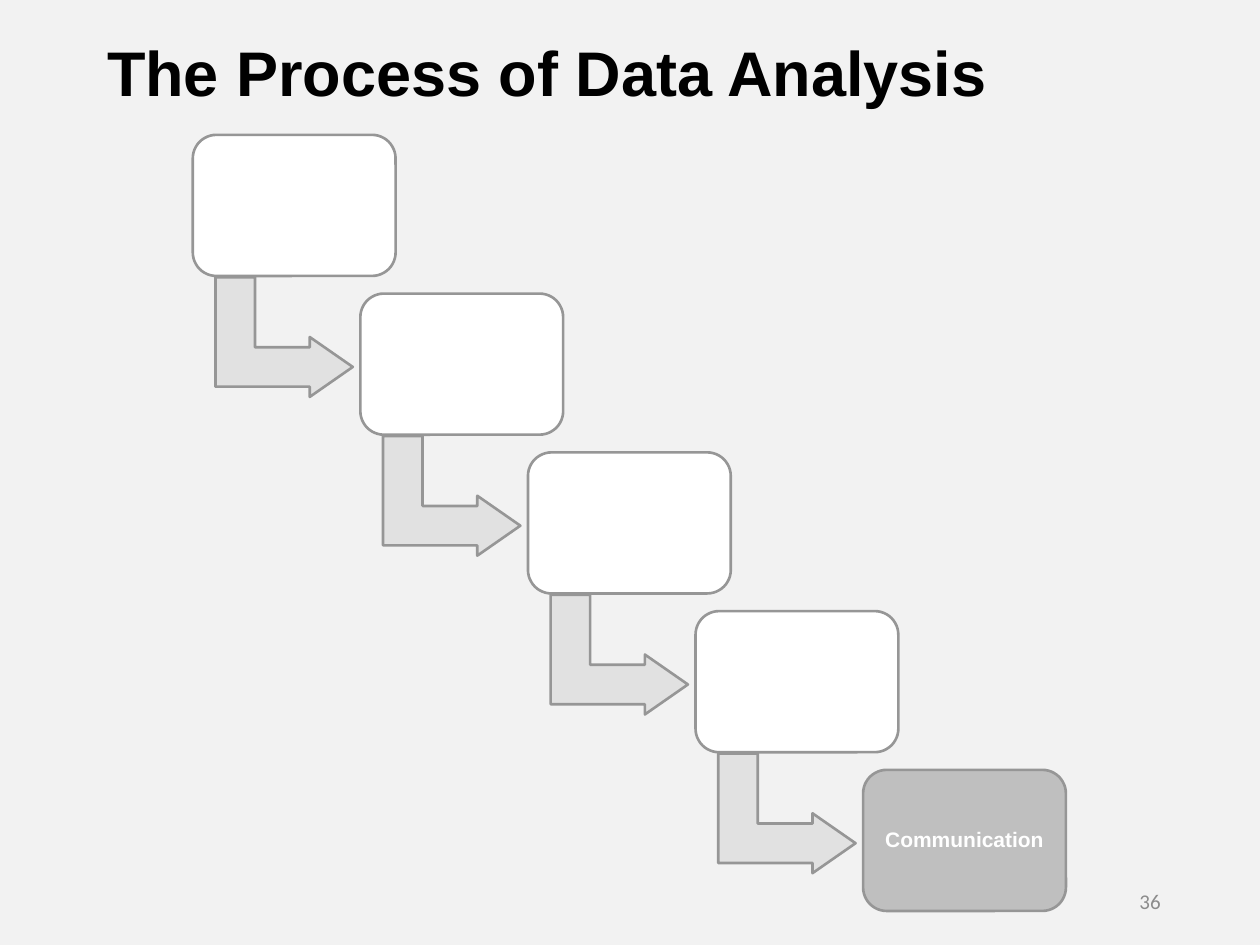
from dataclasses import dataclass

import pptx
import pptx.dml.color
import pptx.enum.shapes
import pptx.enum.text
import pptx.util

Inches, Pt = pptx.util.Inches, pptx.util.Pt
MSO_SHAPE = pptx.enum.shapes.MSO_SHAPE
PP_ALIGN = pptx.enum.text.PP_ALIGN
MIDDLE = pptx.enum.text.MSO_ANCHOR.MIDDLE

BOX_W, BOX_H = 1.61, 1.12
ARROW_W, ARROW_H = 0.95, 1.09
FIRST_X, FIRST_Y = 1.53, 1.07
STEP_X, STEP_Y = 1.33, 1.26
ARROW_DX, ARROW_DY = 0.25, 1.06  # arrow frame relative to its box


@dataclass
class Step:
    label: str = ""
    fill: str = "FFFFFF"


STEPS = [Step(), Step(), Step(), Step(), Step("Communication", "BFBFBF")]


def rgb(color: str):
    return pptx.dml.color.RGBColor.from_string(color)


def set_text(sp, text: str, size: float, color: str, align, font="Arial", bold=True):
    tf = sp.text_frame
    tf.word_wrap = True
    tf.vertical_anchor = MIDDLE
    tf.text = text
    p = tf.paragraphs[0]
    p.alignment = align
    p.font.name, p.font.size, p.font.bold = font, Pt(size), bold
    p.font.color.rgb = rgb(color)
    return tf


def add_outlined(slide, kind, x: float, y: float, w: float, h: float,
                 fill: str, adjustments: list[float]):
    sp = slide.shapes.add_shape(kind, Inches(x), Inches(y), Inches(w), Inches(h))
    sp.shadow.inherit = False
    sp.fill.solid()
    sp.fill.fore_color.rgb = rgb(fill)
    sp.line.color.rgb = rgb("969696")
    sp.line.width = Pt(1.5)
    for i, value in enumerate(adjustments):
        sp.adjustments[i] = value
    return sp


def add_step(slide, step: Step, x: float, y: float, has_next: bool) -> None:
    if has_next:
        arrow = add_outlined(slide, MSO_SHAPE.BENT_UP_ARROW, x + ARROW_DX, y + ARROW_DY,
                             ARROW_W, ARROW_H, "E1E1E1", [0.33, 0.25, 0.36])
        arrow.rotation = 90
    box = add_outlined(slide, MSO_SHAPE.ROUNDED_RECTANGLE, x, y, BOX_W, BOX_H,
                       step.fill, [0.167])
    if step.label:
        tf = set_text(box, step.label, 12, "FFFFFF", PP_ALIGN.CENTER)
        tf.margin_left = tf.margin_right = Inches(0.05)
        tf.margin_top = tf.margin_bottom = Inches(0.05)
        tf.paragraphs[0].line_spacing = 0.9


def main() -> None:
    prs = pptx.Presentation()
    prs.slide_width, prs.slide_height = Inches(10), Inches(7.5)
    slide = prs.slides.add_slide(prs.slide_layouts[5])
    slide.background.fill.solid()
    slide.background.fill.fore_color.rgb = rgb("F2F2F2")

    title = slide.shapes.title
    title.left, title.top = Inches(0.75), Inches(0.12)
    title.width, title.height = Inches(8.5), Inches(0.97)
    tf = set_text(title, "The Process of Data Analysis", 36, "000000", PP_ALIGN.LEFT)
    tf.paragraphs[0].line_spacing = 0.9

    number = slide.shapes.add_textbox(Inches(7.06), Inches(6.95), Inches(2.25), Inches(0.4))
    set_text(number, "36", 12, "8C8C8C", PP_ALIGN.RIGHT, font="Calibri", bold=False)

    for i, step in enumerate(STEPS):
        add_step(slide, step, FIRST_X + i * STEP_X, FIRST_Y + i * STEP_Y,
                 has_next=i < len(STEPS) - 1)

    prs.save("out.pptx")


if __name__ == "__main__":
    main()
